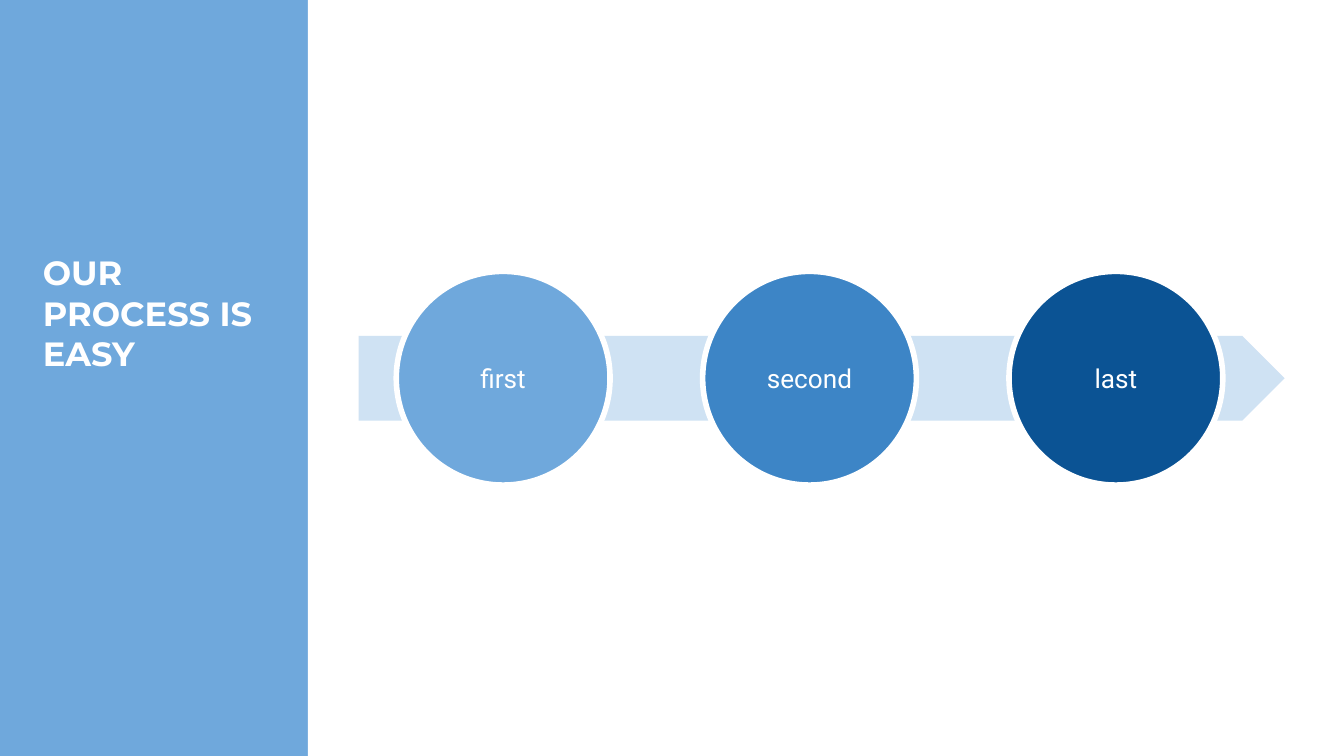
from dataclasses import dataclass

from pptx import Presentation
from pptx.dml.color import RGBColor
from pptx.enum.shapes import MSO_SHAPE
from pptx.enum.text import MSO_ANCHOR, MSO_AUTO_SIZE, PP_ALIGN
from pptx.util import Cm, Pt

RECTANGLE = MSO_SHAPE.RECTANGLE
PENTAGON = MSO_SHAPE.PENTAGON
OVAL = MSO_SHAPE.OVAL
TOP, MIDDLE = MSO_ANCHOR.TOP, MSO_ANCHOR.MIDDLE
LEFT, CENTER = PP_ALIGN.LEFT, PP_ALIGN.CENTER
NO_AUTOFIT = MSO_AUTO_SIZE.NONE
TITLE_ONLY = 5


@dataclass(frozen=True)
class Theme:
    white: str = "FFFFFF"
    sidebar: str = "6FA8DC"
    arrow: str = "CFE2F3"
    steps: tuple = ("6FA8DC", "3D85C6", "0B5394")
    title_font: str = "Montserrat"
    body_font: str = "Roboto"
    title_size: int = 18
    body_size: int = 14
    outline: int = 3
    inset: float = 0.25


THEME = Theme()
STEPS = ("first", "second", "last")
SLIDE_W, SLIDE_H = 25.4, 14.29
SIDEBAR_W = 5.82
ARROW_LEFT, ARROW_W, ARROW_H = 6.78, 17.5, 1.6
CIRCLE_LEFT, CIRCLE_D, CIRCLE_PITCH = 7.49, 4.04, 5.79
CENTER_Y = 7.15


def paint(fill, color):
    fill.solid()
    fill.fore_color.rgb = RGBColor.from_string(color)


def write(sp, text, font, size, align, anchor, bold=False):
    tf = sp.text_frame
    tf.word_wrap = True
    tf.auto_size = NO_AUTOFIT
    tf.vertical_anchor = anchor
    tf.margin_left = tf.margin_right = Cm(THEME.inset)
    tf.margin_top = tf.margin_bottom = Cm(THEME.inset)
    p = tf.paragraphs[0]
    p.alignment = align
    r = p.add_run()
    r.text = text
    r.font.name = font
    r.font.size = Pt(size)
    r.font.bold = bold
    r.font.color.rgb = RGBColor.from_string(THEME.white)


def add_block(s, kind, left, top, width, height, color):
    """Add a filled shape without outline or shadow; lengths in cm."""
    sp = s.shapes.add_shape(kind, Cm(left), Cm(top), Cm(width), Cm(height))
    sp.shadow.inherit = False
    sp.line.fill.background()
    paint(sp.fill, color)
    return sp


def add_title(s, text):
    sp = s.shapes.title
    sp.left, sp.top, sp.width, sp.height = Cm(0.56), Cm(4.52), Cm(4.75), Cm(2.39)
    write(sp, text, THEME.title_font, THEME.title_size, LEFT, TOP, bold=True)


def add_arrow(s):
    sp = add_block(s, PENTAGON, ARROW_LEFT, CENTER_Y - ARROW_H / 2,
                   ARROW_W, ARROW_H, THEME.arrow)
    sp.adjustments[0] = 0.5


def add_step(s, index, text, color):
    sp = add_block(s, OVAL, CIRCLE_LEFT + index * CIRCLE_PITCH,
                   CENTER_Y - CIRCLE_D / 2, CIRCLE_D, CIRCLE_D, color)
    paint(sp.line.fill, THEME.white)
    sp.line.width = Pt(THEME.outline)
    write(sp, text, THEME.body_font, THEME.body_size, CENTER, MIDDLE)


def main():
    prs = Presentation()
    prs.slide_width, prs.slide_height = Cm(SLIDE_W), Cm(SLIDE_H)
    s = prs.slides.add_slide(prs.slide_layouts[TITLE_ONLY])
    paint(s.background.fill, THEME.sidebar)
    add_block(s, RECTANGLE, SIDEBAR_W, 0, SLIDE_W - SIDEBAR_W, SLIDE_H, THEME.white)
    add_title(s, "OUR PROCESS IS EASY")
    add_arrow(s)
    for index, (text, color) in enumerate(zip(STEPS, THEME.steps)):
        add_step(s, index, text, color)
    prs.save("out.pptx")


if __name__ == "__main__":
    main()
